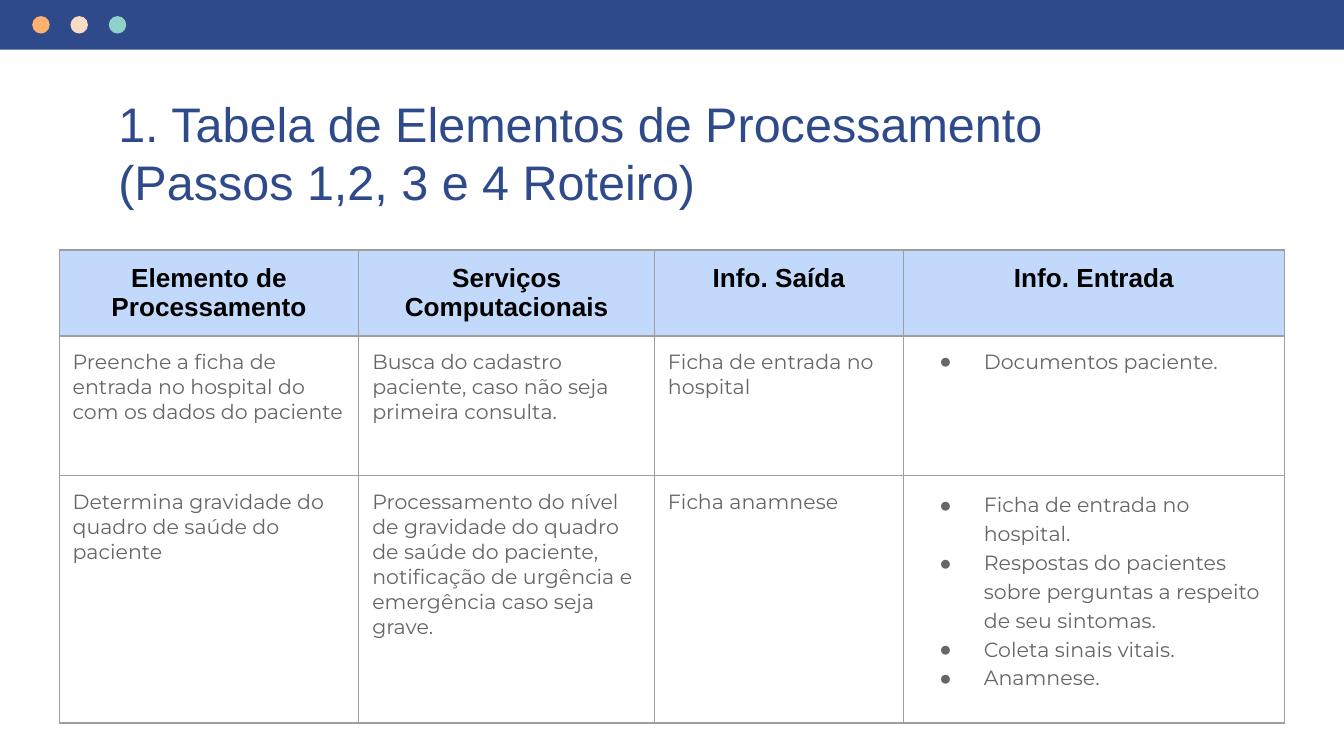
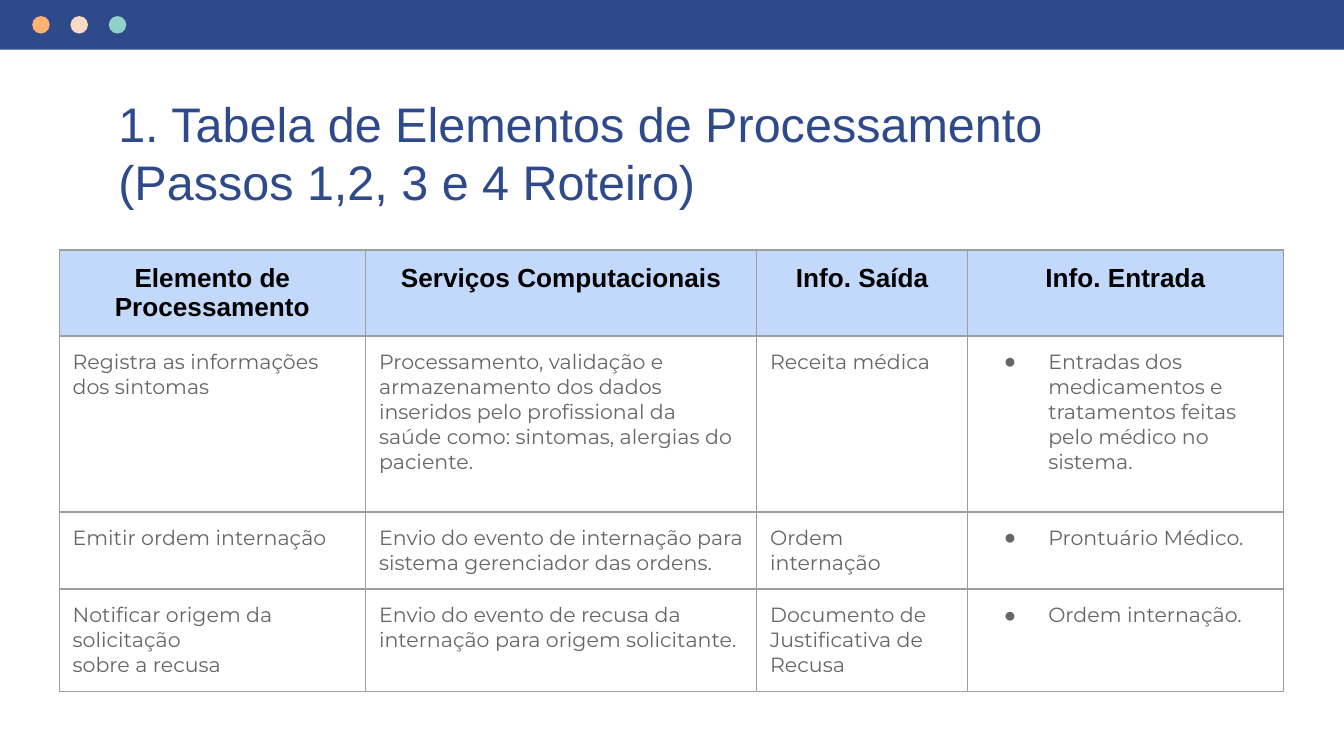
from lxml import etree
from pptx import Presentation
from pptx import util as u
from pptx.dml.color import RGBColor
from pptx.enum import shapes, text
from pptx.oxml import ns

WIDTH = 10
HEIGHT = WIDTH * 9 / 16
BLUE, HEADER_FILL, BORDER, GRAY, BLACK = "2F4A8A", "C3D9FB", "9E9E9E", "666666", "000000"
DOTS = ["FFB172", "F8DBC4", "90D1CB"]
BAND_HEIGHT, DOT_SIZE, DOT_LEFT, DOT_TOP, DOT_STEP = 0.37, 0.13, 0.24, 0.12, 0.285
TABLE_LEFT, TABLE_TOP = 0.44, 1.86
INSET = 0.1

TITLE = "1. Tabela de Elementos de Processamento\v(Passos 1,2, 3 e 4 Roteiro)"
HEADER = ["Elemento de Processamento", "Serviços Computacionais", "Info. Saída", "Info. Entrada"]

# The last column of each row is a bulleted list, one line per item.
TABLES = [
    {
        "columns": [2.23, 2.2, 1.85, 2.84],
        "heights": [0.64, 1.04, 1.84],
        "rows": [
            ["Preenche a ficha de entrada no hospital do com os dados do paciente",
             "Busca do cadastro paciente, caso não seja primeira consulta.",
             "Ficha de entrada no hospital",
             "Documentos paciente."],
            ["Determina gravidade do quadro de saúde do paciente",
             "Processamento do nível de gravidade do quadro de saúde do paciente, "
             "notificação de urgência e emergência caso seja grave.",
             "Ficha anamnese",
             "Ficha de entrada no hospital.\n"
             "Respostas do pacientes sobre perguntas a respeito de seu sintomas.\n"
             "Coleta sinais vitais.\n"
             "Anamnese."],
        ],
    },
    {
        "columns": [2.28, 2.91, 1.57, 2.35],
        "heights": [0.64, 1.31, 0.57, 0.76],
        "rows": [
            ["Registra as informações dos sintomas",
             "Processamento, validação e armazenamento dos dados inseridos pelo "
             "profissional da saúde como: sintomas, alergias do paciente.",
             "Receita médica",
             "Entradas dos medicamentos e tratamentos feitas pelo médico no sistema."],
            ["Emitir ordem internação",
             "Envio do evento de internação para sistema gerenciador das ordens.",
             "Ordem internação",
             "Prontuário Médico."],
            ["Notificar origem da solicitação\nsobre a recusa",
             "Envio do evento de recusa da internação para origem solicitante.",
             "Documento de Justificativa de Recusa",
             "Ordem internação."],
        ],
    },
]


def color(value):
    return RGBColor.from_string(value)


def add_child(parent, tag, **attributes):
    return etree.SubElement(parent, ns.qn(tag), attributes)


def add_bullet(para):
    props = para._p.get_or_add_pPr()
    props.set("marL", str(u.Inches(0.5)))
    props.set("indent", str(u.Inches(-0.33)))
    add_child(add_child(props, "a:buClr"), "a:srgbClr", val=GRAY)
    add_child(props, "a:buFont", typeface="Arial")
    add_child(props, "a:buChar", char="●")


def write(frame, content, size=11, font="Montserrat", fill=GRAY, bold=False,
          align=text.PP_ALIGN.LEFT, spacing=None, bullets=False):
    frame.text = content
    for para in frame.paragraphs:
        para.alignment = align
        if spacing:
            para.line_spacing = spacing
        if bullets:
            add_bullet(para)
        for span in para.runs:
            span.font.size = u.Pt(size)
            span.font.name = font
            span.font.bold = bold
            span.font.color.rgb = color(fill)


def add_solid(slide, kind, left, top, width, height, fill):
    shape = slide.shapes.add_shape(kind, *map(u.Inches, (left, top, width, height)))
    shape.shadow.inherit = False
    shape.fill.solid()
    shape.fill.fore_color.rgb = color(fill)
    shape.line.fill.background()


def add_band(slide):
    add_solid(slide, shapes.MSO_SHAPE.RECTANGLE, 0, 0, WIDTH, BAND_HEIGHT, BLUE)
    for index, fill in enumerate(DOTS):
        add_solid(slide, shapes.MSO_SHAPE.OVAL, DOT_LEFT + index * DOT_STEP, DOT_TOP,
                  DOT_SIZE, DOT_SIZE, fill)


def set_title(slide):
    title = slide.shapes.title
    title.left, title.top, title.width, title.height = map(u.Inches, (0.78, 0.6, 8.44, 0.51))
    frame = title.text_frame
    frame.word_wrap = True
    frame.auto_size = text.MSO_AUTO_SIZE.NONE
    frame.vertical_anchor = text.MSO_ANCHOR.TOP
    frame.margin_left = frame.margin_right = u.Inches(INSET)
    frame.margin_top = frame.margin_bottom = u.Inches(INSET)
    write(frame, TITLE, size=26, font="Arial", fill=BLUE, spacing=1.0)


def format_cell(cell, fill=None):
    cell.margin_left = cell.margin_right = u.Inches(INSET)
    cell.margin_top = cell.margin_bottom = u.Inches(INSET)
    cell.vertical_anchor = text.MSO_ANCHOR.TOP
    props = cell._tc.get_or_add_tcPr()
    for side in ("a:lnL", "a:lnR", "a:lnT", "a:lnB"):
        line = add_child(props, side, w=str(u.Pt(0.75)))
        add_child(add_child(line, "a:solidFill"), "a:srgbClr", val=BORDER)
    if fill:
        cell.fill.solid()
        cell.fill.fore_color.rgb = color(fill)
    else:
        cell.fill.background()


def add_grid(slide, columns, heights, rows):
    frame = slide.shapes.add_table(
        len(heights), len(columns),
        *map(u.Inches, (TABLE_LEFT, TABLE_TOP, sum(columns), sum(heights))))
    table = frame.table
    table.first_row = table.horz_banding = False
    for column, width in zip(table.columns, columns):
        column.width = u.Inches(width)
    for row, height in zip(table.rows, heights):
        row.height = u.Inches(height)
    for cell, label in zip(table.rows[0].cells, HEADER):
        format_cell(cell, HEADER_FILL)
        write(cell.text_frame, label, size=14, font="Arial", fill=BLACK, bold=True,
              align=text.PP_ALIGN.CENTER)
    for r, contents in enumerate(rows, 1):
        for c, content in enumerate(contents):
            cell = table.cell(r, c)
            format_cell(cell)
            is_list = c == len(columns) - 1
            spacing = 1.15 if is_list and "\n" in content else None
            write(cell.text_frame, content, spacing=spacing, bullets=is_list)


def main():
    deck = Presentation()
    deck.slide_width, deck.slide_height = u.Inches(WIDTH), u.Inches(HEIGHT)
    title_only = deck.slide_layouts[5]
    for table in TABLES:
        slide = deck.slides.add_slide(title_only)
        add_band(slide)
        set_title(slide)
        add_grid(slide, **table)
    deck.save("out.pptx")


if __name__ == "__main__":
    main()
